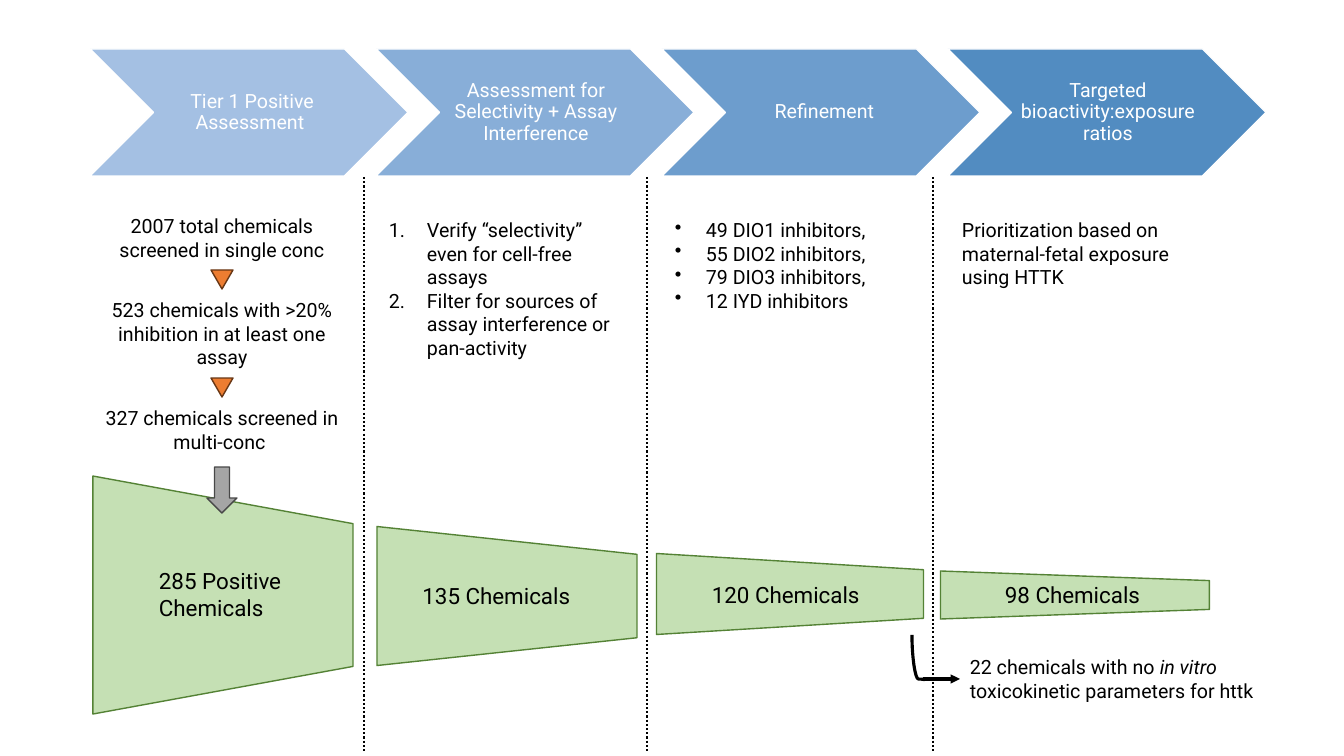
from lxml.etree import SubElement as Sub
from pptx import Presentation
from pptx.dml.color import RGBColor as RGB
from pptx.enum.dml import MSO_LINE as Dash
from pptx.enum.shapes import MSO_CONNECTOR as Link, MSO_SHAPE as Kind
from pptx.enum.text import MSO_ANCHOR as Anchor, PP_ALIGN as Align
from pptx.oxml.ns import qn
from pptx.util import Emu, Pt

PX = 914400 / 100.8
COLORS = {
    "black": "000000", "white": "FFFFFF",
    "step1": "A4C0E3", "step2": "88AED8", "step3": "6D9DCD", "step4": "528CC1",
    "green": "C5E0B4", "moss": "548235", "orange": "ED7D31", "brown": "683715",
    "gray": "A5A5A5", "dark": "484848",
}
HUE = {name: RGB.from_string(code) for name, code in COLORS.items()}

deck = Presentation()
deck.slide_width, deck.slide_height = Emu(round(1344 * PX)), Emu(round(756 * PX))
slide = deck.slides.add_slide(deck.slide_layouts[6])
shapes = slide.shapes


def draw(kind, box, fill, edge):
    shape = shapes.add_shape(kind, *[Emu(round(n * PX)) for n in box])
    shape.shadow.inherit = False
    shape.fill.solid()
    shape.fill.fore_color.rgb = HUE[fill]
    shape.line.color.rgb = HUE[edge]
    shape.line.width = Pt(1)
    return shape


def write(box, lines, size=14, color="black", align=Align.LEFT):
    frame = shapes.add_textbox(*[Emu(round(n * PX)) for n in box]).text_frame
    frame.word_wrap = True
    for i, line in enumerate(lines):
        para = frame.paragraphs[0] if i == 0 else frame.add_paragraph()
        para.text = line
        para.alignment = align
        para.font.size, para.font.name = Pt(size), "Roboto"
        para.font.color.rgb = HUE[color]
    return frame


# Step chevrons
steps = [" Tier 1 Positive Assessment", "Assessment for Selectivity + Assay Interference",
         " Refinement", "Targeted bioactivity:exposure ratios"]
for i, step in enumerate(steps):
    left = 90 + 286 * i
    draw(Kind.CHEVRON, (left, 49, 318, 127), f"step{i + 1}", "white")
    frame = write((left + 63, 49, 190, 127), [step], 14, "white", Align.CENTER)
    frame.vertical_anchor = Anchor.MIDDLE
    frame.margin_left = Emu(round(6 * PX))
    frame.margin_right = frame.margin_top = frame.margin_bottom = Emu(round(2 * PX))
    frame.paragraphs[0].line_spacing = 0.9

# Funnel, each part turned so that its wide side faces left
funnel = [(223, 595, 260, 238), (507, 596, 260, 139),
          (790, 594, 267, 81), (1075, 595, 269, 48)]
for mid, row, wide, high in funnel:
    part = draw(Kind.FLOWCHART_MANUAL_OPERATION,
                (mid - high / 2, row - wide / 2, high, wide), "green", "moss")
    part.rotation = 270

# Funnel counts
counts = [("285 Positive Chemicals", 149, 562, 148), (" 135 Chemicals", 407, 577, 200),
          ("120 Chemicals", 702, 576, 175), ("98 Chemicals", 995, 576, 161)]
for count, left, top, wide in counts:
    write((left, top, wide, 37), [count], 16)

# Screening stages
stages = [("2007 total chemicals screened in single conc", 209),
          ("523 chemicals with >20% inhibition in at least one assay", 293),
          ("327 chemicals screened in multi-conc ", 401)]
for stage, top in stages:
    write((93, top, 258, 57), [stage], align=Align.CENTER)
for top in (270, 378):
    draw(Kind.ISOSCELES_TRIANGLE, (211, top, 22, 19), "orange", "brown").rotation = 180
draw(Kind.DOWN_ARROW, (207, 467, 30, 46), "gray", "dark")

# Lists
checks = write((379, 213, 258, 152), [
    "Verify “selectivity” even for cell-free assays",
    "Filter for sources of assay interference or pan-activity"])
hits = write((665, 213, 239, 105), [
    "49 DIO1 inhibitors,", "55 DIO2 inhibitors,",
    "79 DIO3 inhibitors,", "12 IYD inhibitors"])
for frame, hang, tag, key, mark in (
        (checks, 38, "a:buAutoNum", "type", "arabicPeriod"),
        (hits, 31, "a:buChar", "char", "•")):
    for para in frame.paragraphs:
        props = para._p.get_or_add_pPr()
        props.set("marL", str(round(hang * PX)))
        props.set("indent", str(-round(hang * PX)))
        bullet = props.makeelement(qn(tag), {key: mark})
        props.insert_element_before(bullet, "a:tabLst", "a:defRPr", "a:extLst")

# Exposure notes
write((952, 213, 258, 82), ["Prioritization based on maternal-fetal exposure using HTTK"])
note = write((960, 650, 327, 57), ["22 chemicals with no "]).paragraphs[0]
term = note.add_run()
term.text = "in vitro "
term.font.italic = True
note.add_run().text = "toxicokinetic parameters for httk"

# Dividers, arrow and its curved stem
links = [(Link.STRAIGHT, (x, 177, x, 751), 1.5) for x in (364, 647, 933)]
links += [(Link.STRAIGHT, (923, 679, 960, 679), 2.25),
          (Link.CURVE, (896, 651, 941, 664), 2.25)]
for kind, ends, width in links:
    link = shapes.add_connector(kind, *[Emu(round(n * PX)) for n in ends])
    link.line.color.rgb = HUE["black"]
    link.line.width = Pt(width)
    if width == 1.5:
        link.line.dash_style = Dash.ROUND_DOT
    elif kind == Link.STRAIGHT:
        Sub(link.line._get_or_add_ln(), qn("a:tailEnd"), type="triangle")
    else:
        turn = link._element.spPr.find(qn("a:xfrm"))
        turn.set("rot", "16200000")
        turn.set("flipH", "1")
        bend = link._element.spPr.find(qn("a:prstGeom")).find(qn("a:avLst"))
        Sub(bend, qn("a:gd"), name="adj1", fmla="val 98000")
    Sub(link._element.spPr, qn("a:effectLst"))

deck.save("out.pptx")
